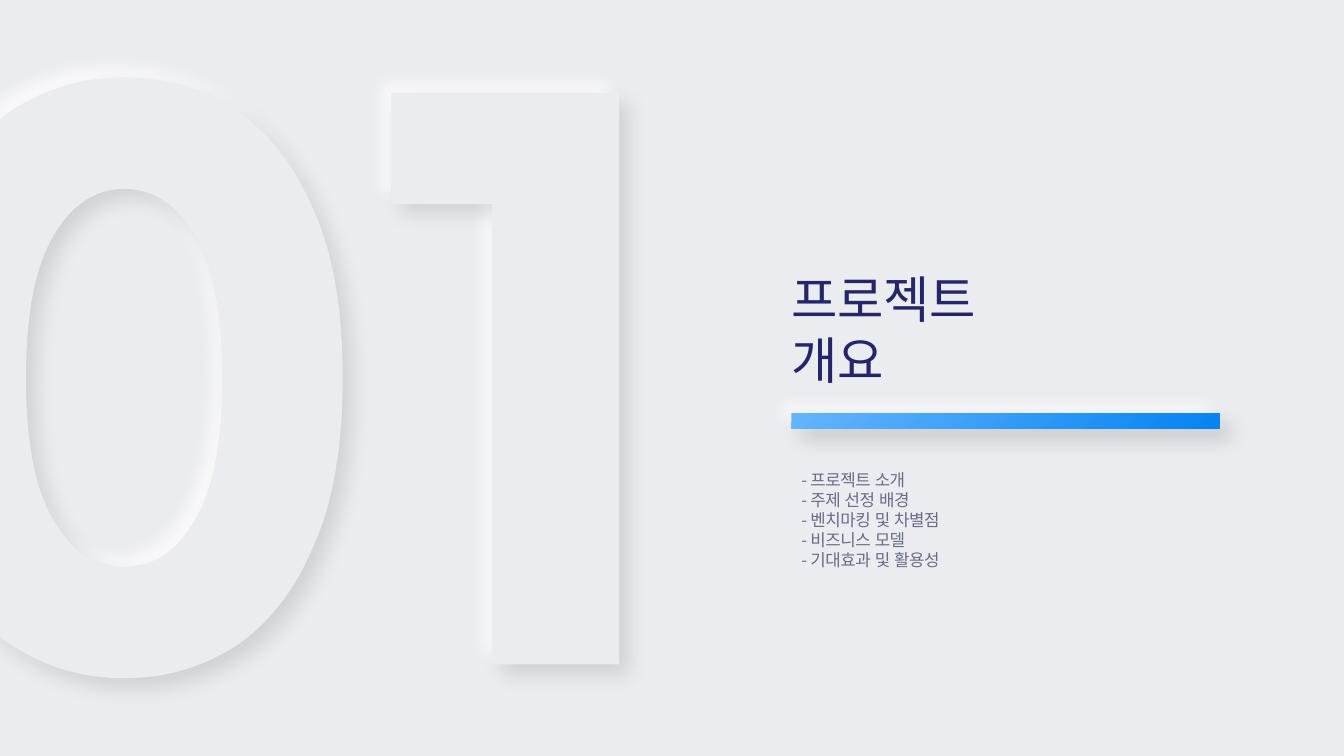
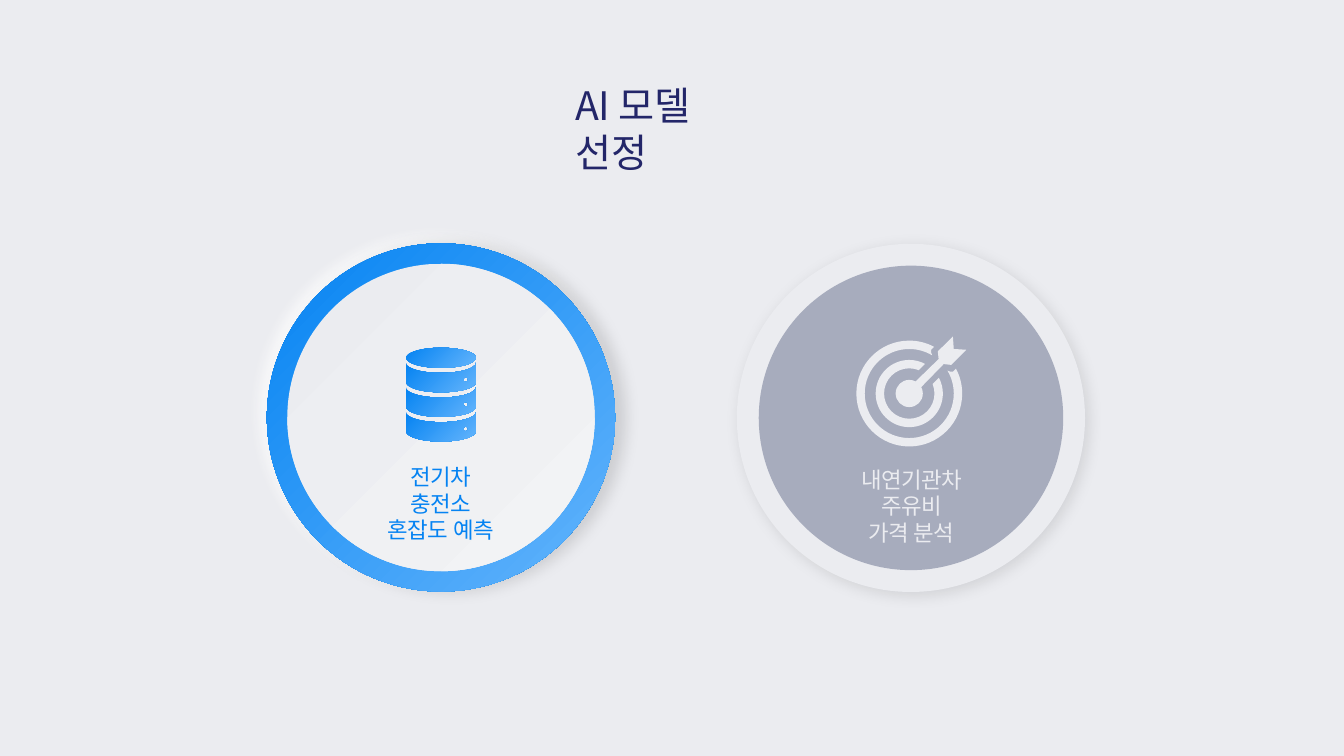
import math
from dataclasses import dataclass

from lxml import etree
from pptx import Presentation
from pptx.dml.color import RGBColor
from pptx.enum.shapes import MSO_SHAPE
from pptx.enum.text import MSO_ANCHOR, MSO_AUTO_SIZE, PP_ALIGN
from pptx.oxml.ns import qn
from pptx.util import Emu, Pt

OVAL, RECTANGLE = MSO_SHAPE.OVAL, MSO_SHAPE.RECTANGLE
LEFT, CENTER = PP_ALIGN.LEFT, PP_ALIGN.CENTER
TOP, GROW = MSO_ANCHOR.TOP, MSO_AUTO_SIZE.SHAPE_TO_FIT_TEXT
TITLE_ONLY = 5
COLUMNS, ROWS = 160, 90
CELL = 76200  # one square grid cell in EMU


@dataclass(frozen=True)
class Theme:
    """Colours, gradients (start, end) and type sizes."""
    font: str = "Noto Sans CJK KR"
    ground: str = "EBECF0"
    navy: str = "232669"
    slate: str = "666D88"
    grey: str = "A7ACBD"
    light: str = "FFFFFF"
    dark: str = "000000"
    blue: tuple = ("0583F2", "64B5FC")
    blue_reversed: tuple = ("64B5FC", "0583F2")
    pale: tuple = ("EBECF0", "F2F3F5")
    chapter_size: int = 36
    title_size: int = 28
    label_size: int = 16
    list_size: int = 12


THEME = Theme()


def cells(*lengths):
    return [Emu(round(length * CELL)) for length in lengths]


def paint(fill, colour):
    """Fill with one colour, or with a diagonal gradient for a pair."""
    if isinstance(colour, str):
        fill.solid()
        fill.fore_color.rgb = RGBColor.from_string(colour)
        return
    fill.gradient()
    fill.gradient_angle = 315
    for stop, code in zip(fill.gradient_stops, colour):
        stop.color.rgb = RGBColor.from_string(code)


def write(frame, lines, size, colour, align=LEFT, spacing=-0.3):
    """Put one paragraph per line into a text frame."""
    frame.margin_left = frame.margin_right = 0
    frame.margin_top = frame.margin_bottom = 0
    frame.word_wrap = True
    frame.auto_size = GROW
    frame.vertical_anchor = TOP
    for index, line in enumerate(lines):
        para = frame.add_paragraph() if index else frame.paragraphs[0]
        para.alignment = align
        span = para.add_run()
        span.text = line
        span.font.size = Pt(size)
        paint(span.font.fill, colour)
        span.font.name = THEME.font
        run_properties = span._r.get_or_add_rPr()
        run_properties.set("lang", "ko-KR")
        run_properties.set("spc", str(round(spacing * 100)))
        east_asian = etree.Element(qn("a:ea"))
        east_asian.set("typeface", THEME.font)
        run_properties.find(qn("a:latin")).addnext(east_asian)


# Outlines in grid cells: a contour is a list of steps, each holding
# one point (a straight line) or three (a cubic curve)

def straight(points):
    return [[point] for point in points]


def curved(controls):
    """A chain of cubic curves from its control points."""
    return [controls[:1]] + [controls[first:first + 3]
                             for first in range(1, len(controls), 3)]


def arc(centre, radii, start, end):
    """Part of an ellipse, split at its extremes; clockwise from the right."""
    extremes = [angle for angle in range(-360, 361, 90)
                if min(start, end) < angle < max(start, end)]
    stops = sorted([start, *extremes, end], reverse=end < start)

    def place(angle, reach=0.0):
        x, y = math.cos(angle), math.sin(angle)
        return (centre[0] + radii[0] * (x - reach * y),
                centre[1] + radii[1] * (y + reach * x))

    angles = [math.radians(stop) for stop in stops]
    controls = [place(angles[0])]
    for first, last in zip(angles, angles[1:]):
        reach = 4 / 3 * math.tan((last - first) / 4)
        controls += [place(first, reach), place(last, -reach), place(last)]
    return curved(controls)


def four_quarters(centre, quarter):
    """Mirror a quarter outline about both axes of its centre."""
    half = quarter + [(x, -y) for x, y in reversed(quarter[:-1])]
    whole = half + [(-x, y) for x, y in reversed(half[:-1])]
    return curved([(centre[0] + x, centre[1] - y) for x, y in whole])


def diagonal_mirror(centre, half):
    """Mirror points about the rising diagonal through the centre."""
    whole = half + [(-y, -x) for x, y in reversed(half)]
    return straight([(centre[0] + x, centre[1] + y) for x, y in whole])


class Deck:
    """Holds the presentation, its theme and the current page."""

    def __init__(self, theme):
        self.theme = theme
        self.file = Presentation()
        self.file.slide_width = Emu(COLUMNS * CELL)
        self.file.slide_height = Emu(ROWS * CELL)
        paint(self.file.slide_master.background.fill, theme.ground)
        self.page = None

    def new_page(self, title, area, size, spacing):
        layout = self.file.slide_layouts[TITLE_ONLY]
        self.page = self.file.slides.add_slide(layout)
        box = self.page.shapes.title
        box.left, box.top, box.width, box.height = cells(*area)
        write(box.text_frame, [title], size, self.theme.navy, spacing=spacing)

    def group(self):
        return self.page.shapes.add_group_shape().shapes

    def text(self, lines, area, **style):
        box = self.page.shapes.add_textbox(*cells(*area))
        write(box.text_frame, lines, **style)

    def finish(self, shape, colour, shadow=None):
        """Fill without a line; shadow is colour, alpha, blur, distance, angle."""
        shape.shadow.inherit = False
        shape.line.fill.background()
        paint(shape.fill, colour)
        if shadow:
            code, alpha, blur, distance, angle = shadow
            effects = shape._element.spPr.find(qn("a:effectLst"))
            outer = etree.SubElement(
                effects, qn("a:outerShdw"), blurRad=str(Pt(blur)),
                dist=str(Pt(distance)), dir=str(angle * 60000),
                algn="ctr", rotWithShape="0")
            tone = etree.SubElement(outer, qn("a:srgbClr"), val=code)
            etree.SubElement(tone, qn("a:alpha"), val=str(alpha * 1000))

    def preset(self, kind, area, colour, shadow=None):
        shape = self.page.shapes.add_shape(kind, *cells(*area))
        self.finish(shape, colour, shadow)

    def disc(self, centre, diameter, colour, shadow=None):
        left, top = (place - diameter / 2 for place in centre)
        self.preset(OVAL, (left, top, diameter, diameter), colour, shadow)

    def outline(self, parent, contours, colour, shadow=None):
        """One freeform made of closed contours."""
        builder = None
        for contour in contours:
            start, *points = [cells(*point) for step in contour for point in step]
            if builder is None:
                builder = parent.build_freeform(*start)
            else:
                builder.move_to(*start)
            builder.add_line_segments(points, close=True)
        shape = builder.convert_to_shape()
        # Join the three points of each curved step into one cubic segment
        lines = iter(list(shape._element.iter(qn("a:lnTo"))))
        for step in (step for contour in contours for step in contour[1:]):
            segment = [next(lines) for _ in step]
            if len(segment) == 3:
                cubic = etree.Element(qn("a:cubicBezTo"))
                segment[0].addprevious(cubic)
                for line in segment:
                    cubic.append(line[0])
                    line.getparent().remove(line)
        self.finish(shape, colour, shadow)


def draw_chapter(deck):
    theme = deck.theme
    deck.new_page("프로젝트 개요", (94.2, 31.95, 32.6, 7.3),
                  theme.chapter_size, spacing=-0.3)

    # Large embossed number
    centre = (14.8, 45)
    outer = [(0, 35.75), (5.2, 35.75), (9.6, 34.3), (13.6, 31.7),
             (17.4, 29), (20.5, 25), (22.7, 19.6),
             (25, 14.3), (26, 7.7), (26, 0)]
    inner = [(0, 22.5), (3.6, 22.5), (6.4, 20.5), (8.5, 16.8),
             (10.7, 13), (11.7, 7.4), (11.7, 0)]
    one = [(46.6, 11.1), (73.7, 11.1), (73.7, 79.1),
           (58.6, 79.1), (58.6, 24.3), (46.6, 24.3)]
    number = [four_quarters(centre, inner), straight(one),
              four_quarters(centre, outer)]
    number_group = deck.group()
    for shadow in ((theme.light, 77, 12, 10, 225), (theme.dark, 11, 15, 10, 45)):
        deck.outline(number_group, number, theme.ground, shadow)

    # Raised bar under the title
    for colour, shadow in ((theme.ground, (theme.light, 78, 12, 10, 225)),
                           (theme.blue_reversed, (theme.dark, 17, 15, 10, 45))):
        deck.preset(RECTANGLE, (94.2, 49.2, 51, 1.85), colour, shadow)

    # Contents of the chapter
    deck.text(["- 프로젝트 소개", "- 주제 선정 배경", "- 벤치마킹 및 차별점",
               "- 비즈니스 모델", "- 기대효과 및 활용성"],
              (95.4, 55.9, 44.2, 12.1), size=theme.list_size, colour=theme.slate)


def draw_database(deck):
    icon = deck.group()
    middle, radii, top, pitch = 52.5, (4.15, 1.2), 43.2, 2.93
    lid = arc((middle, 42.6), radii, 0, 360)
    deck.outline(icon, [lid], deck.theme.blue)
    for level in range(3):
        upper = top + level * pitch
        body = (arc((middle, upper), radii, 180, 0)
                + arc((middle, upper + 2.3), radii, 0, 180))
        light = arc((middle + 2.95, upper + 2), (0.28, 0.28), 0, 360)
        deck.outline(icon, [light, body], deck.theme.blue)


def draw_target(deck):
    icon = deck.group()
    centre = (108.25, 46.85)

    def circle(radius, start, end):
        return arc(centre, (radius, radius), start, end)

    arrow = diagonal_mirror(centre, [(3.5, -4.1), (3.4, -5), (5.2, -6.8), (5.3, -5.3)])
    notch = diagonal_mirror(centre, [(2.9, -5.5), (2.6, -5.2), (2.6, -4.9)])
    for contour in (
            circle(1.62, -28, 298) + arrow,
            circle(6.3, -28, 298) + notch[:3] + circle(5.3, 301, -31) + notch[3:],
            circle(4, -28, 298) + circle(3, 292, -22)):
        deck.outline(icon, [contour], deck.theme.ground)


def draw_models(deck):
    theme = deck.theme
    deck.new_page("AI 모델 선정", (68.5, 9.7, 23.1, 5.6),
                  theme.title_size, spacing=-0.2)
    label = {"size": theme.label_size, "align": CENTER}
    diameter = 41.45

    # Option set aside
    centre = (108.45, 49.75)
    deck.disc(centre, diameter, theme.ground, (theme.dark, 11, 11, 3, 45))
    deck.disc(centre, 36.25, theme.grey)
    draw_target(deck)
    deck.text(["내연기관차 주유비", "가격 분석"], (99, 55.45, 19, 6.5),
              colour=theme.ground, spacing=-0.4, **label)

    # Option chosen
    centre = (52.5, 49.7)
    for shadow in ((theme.light, 78, 11, 7, 225), (theme.dark, 12, 11, 7, 0)):
        deck.disc(centre, diameter, theme.blue, shadow)
    deck.disc(centre, 36.6, theme.pale)
    deck.text(["전기차 충전소", "혼잡도 예측"], (45.25, 55.1, 14.4, 6.5),
              colour=theme.blue, **label)
    draw_database(deck)


def main():
    deck = Deck(THEME)
    draw_chapter(deck)
    draw_models(deck)
    deck.file.save("out.pptx")


if __name__ == "__main__":
    main()
